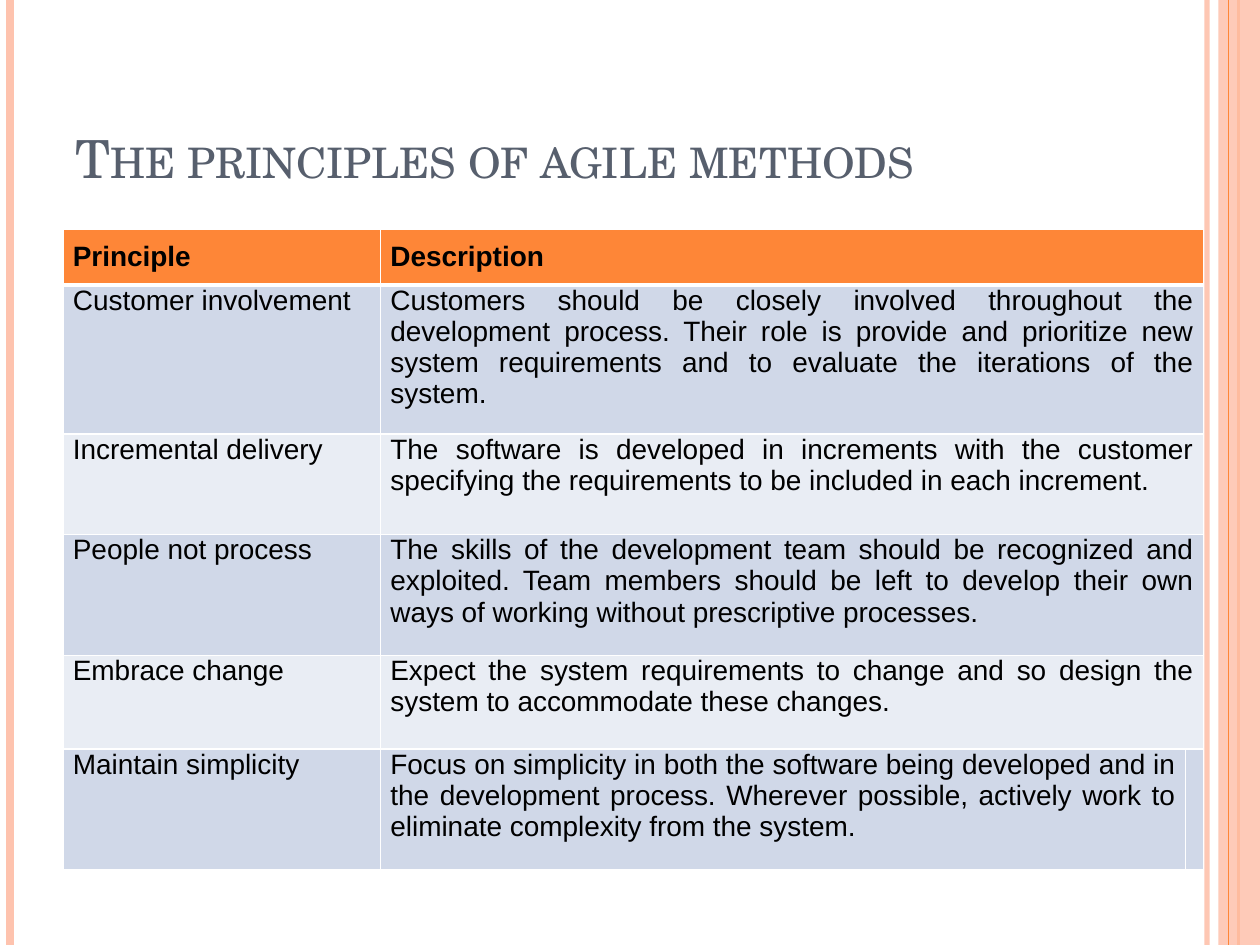
import pptx
import pptx.util
import pptx.dml.color
import pptx.enum.shapes
import pptx.enum.text
import pptx.oxml.ns
from lxml import etree

Cm, Pt = pptx.util.Cm, pptx.util.Pt
Align = pptx.enum.text.PP_ALIGN
Anchor = pptx.enum.text.MSO_ANCHOR
qn = pptx.oxml.ns.qn

THEME = {
    "accent": "FE8637", "pale": "FEC3AE", "title": "575F6D",
    "text": "000000", "edge": "FFFFFF", "bands": ("D0D8E8", "E9EDF4"),
    "serif": "TeX Gyre Schola", "sans": "Arial",
    "big": 30, "body": 16,
}
COLS = (6.4, 16.23, 0.36)
# Row height in cm, principle, description
ROWS = (
    (1.12, "Principle", "Description"),
    (3, "Customer involvement", "Customers should be closely involved throughout the "
     "development process. Their role is provide and prioritize new system requirements "
     "and to evaluate the iterations of the system."),
    (2.03, "Incremental delivery", "The software is developed in increments with the "
     "customer specifying the requirements to be included in each increment."),
    (2.44, "People not process", "The skills of the development team should be recognized "
     "and exploited. Team members should be left to develop their own ways of working "
     "without prescriptive processes."),
    (1.88, "Embrace change", "Expect the system requirements to change and so design the "
     "system to accommodate these changes."),
    (2.44, "Maintain simplicity", "Focus on simplicity in both the software being developed "
     "and in the development process. Wherever possible, actively work to eliminate "
     "complexity from the system."),
)


def tint(name):
    return pptx.dml.color.RGBColor.from_string(name)


def apply(item, values):
    for key, value in values.items():
        setattr(item, key, value)


def style(font, face, size, color, bold=False):
    apply(font, {"name": face, "size": Pt(size), "bold": bold})
    font.color.rgb = tint(color)


def fade(fill, percent):
    """Make a solid fill or line fill partly transparent."""
    color = fill.find(".//" + qn("a:srgbClr"))
    etree.SubElement(color, qn("a:alpha"), val=str(percent * 1000))


def rule(slide, box, x, color, width, alpha=100):
    """Draw a vertical line at x within the box."""
    left, top, _, high = box
    line = slide.shapes.add_connector(
        pptx.enum.shapes.MSO_CONNECTOR.STRAIGHT,
        Cm(left + x), Cm(top), Cm(left + x), Cm(top + high))
    line.line.color.rgb = tint(color)
    line.line.width = Pt(width)
    props = line._element.spPr
    if alpha < 100:
        fade(props, alpha)
    etree.SubElement(props, qn("a:effectLst"))


def frame(slide, box):
    """Stripes down both sides of the page."""
    left, top, wide, high = box
    rule(slide, box, wide - 1.07, THEME["pale"], 3, 93)
    rule(slide, box, 0.2, THEME["pale"], 4.5)
    rule(slide, box, wide - 0.43, THEME["accent"], 1.5)
    band = slide.shapes.add_shape(
        pptx.enum.shapes.MSO_SHAPE.RECTANGLE,
        Cm(left + wide - 0.84), Cm(top), Cm(0.84), Cm(high))
    band.shadow.inherit = False
    band.fill.solid()
    band.fill.fore_color.rgb = tint(THEME["pale"])
    band.line.fill.background()
    fade(band._element.spPr, 87)
    rule(slide, box, wide - 0.64, THEME["accent"], 0.75)


def head(slide, box, text):
    """Title in small capitals at the foot of the box."""
    title = slide.shapes.title
    apply(title, dict(zip(("left", "top", "width", "height"), map(Cm, box))))
    title.text = text
    apply(title.text_frame, {
        "vertical_anchor": Anchor.BOTTOM, "word_wrap": True,
        "auto_size": pptx.enum.text.MSO_AUTO_SIZE.NONE})
    para = title.text_frame.paragraphs[0]
    para.alignment = Align.LEFT
    font = para.runs[0].font
    style(font, THEME["serif"], THEME["big"], THEME["title"])
    font._element.set("cap", "small")


def edge(cell, heavy):
    """White cell borders; sides named in heavy are thicker."""
    props = cell._tc.get_or_add_tcPr()
    for spot, side in enumerate("LRTB"):
        line = etree.Element(qn("a:ln" + side), w=str(Pt(3 if side in heavy else 1)))
        solid = etree.SubElement(line, qn("a:solidFill"))
        etree.SubElement(solid, qn("a:srgbClr"), val=THEME["edge"])
        props.insert(spot, line)


def grid(slide, box):
    """Table of principles; the description spans two columns but in the last row."""
    table = slide.shapes.add_table(len(ROWS), len(COLS), *map(Cm, box)).table
    apply(table, {"first_row": False, "horz_banding": False})
    for col, width in zip(table.columns, COLS):
        col.width = Cm(width)
    for r, (high, *words) in enumerate(ROWS):
        table.rows[r].height = Cm(high)
        first = r == 0
        color = THEME["accent"] if first else THEME["bands"][(r - 1) % 2]
        for c in range(len(COLS)):
            cell = table.cell(r, c)
            side = Cm(0.2 if c < len(words) else 0)
            apply(cell, {
                "margin_left": side, "margin_right": side,
                "margin_top": Cm(0.25 if first else 0), "margin_bottom": Cm(0.25)})
            cell.fill.solid()
            cell.fill.fore_color.rgb = tint(color)
            edge(cell, "B" if first else "T" if r == 1 else "")
            if c < len(words):
                cell.text = words[c]
                para = cell.text_frame.paragraphs[0]
                apply(para, {"alignment": Align.JUSTIFY})
                style(para.runs[0].font, THEME["sans"], THEME["body"], THEME["text"], first)
        if r < len(ROWS) - 1:
            table.cell(r, 1).merge(table.cell(r, 2))


def main():
    deck = pptx.Presentation()
    apply(deck, {"slide_width": Cm(25.4), "slide_height": Cm(19.05)})
    slide = deck.slides.add_slide(deck.slide_layouts[5])
    frame(slide, (0, 0, 25.4, 19.05))
    head(slide, (1.27, 0.76, 20.75, 3.18), "The principles of agile methods")
    grid(slide, (1.27, 4.62, sum(COLS), sum(row[0] for row in ROWS)))
    deck.save("out.pptx")


if __name__ == "__main__":
    main()
